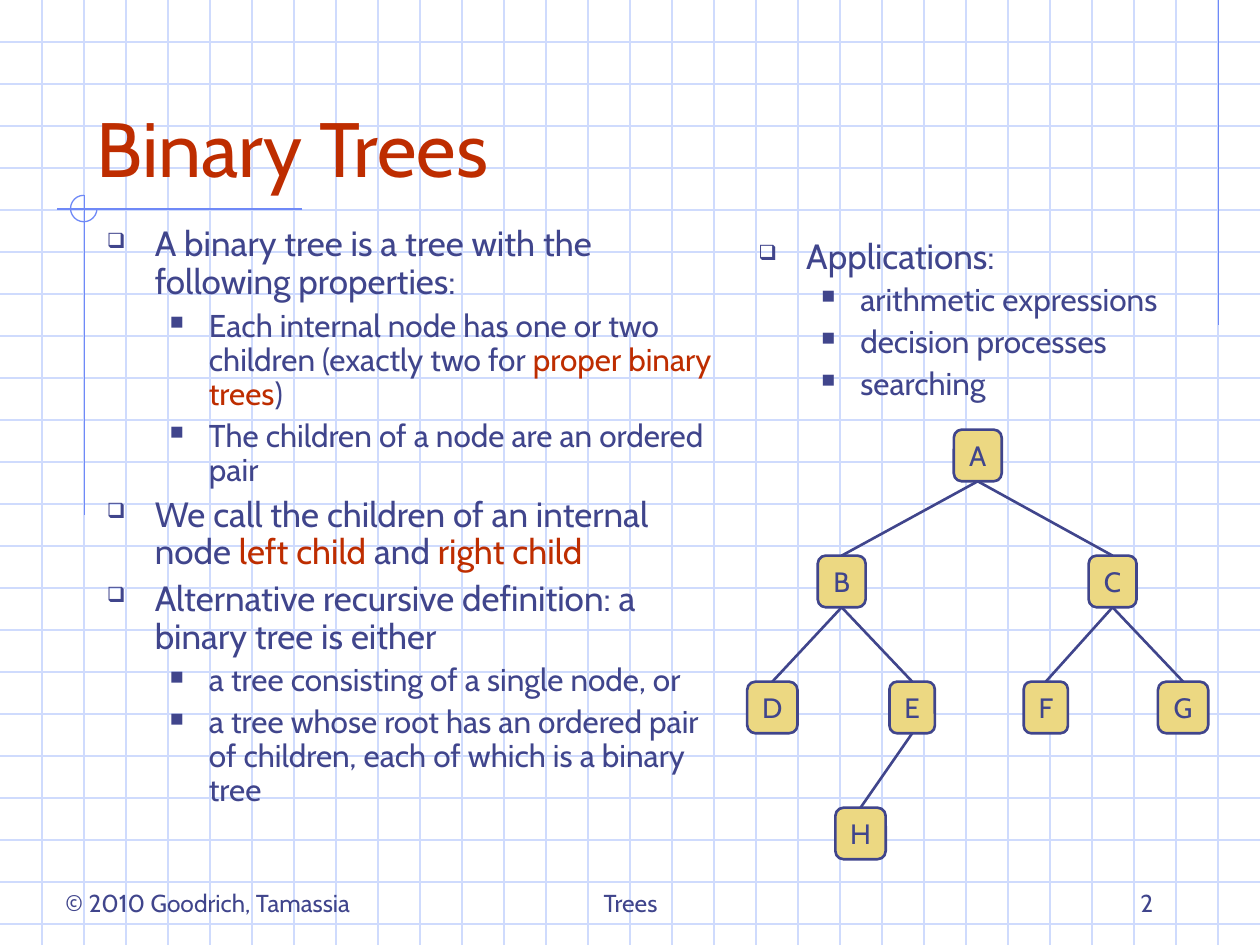
"""Build the Binary Trees slide: two bulleted texts and a tree diagram on a grid."""
from lxml import etree
from pptx import Presentation
from pptx.dml.color import RGBColor
from pptx.enum import shapes, text
from pptx.oxml import ns
from pptx.util import Inches, Pt

INK = RGBColor(0x40, 0x45, 0x8C)
ACCENT = RGBColor(0xBE, 0x2D, 0x00)
GRID = RGBColor(0xCF, 0xDB, 0xFD)
RULE = RGBColor(0x6F, 0x89, 0xF7)
NODE_FILL = RGBColor(0xEC, 0xD8, 0x82)
FONT = "Cabin"
WIDTH, HEIGHT = 10, 7.5
GRID_STEP = 1 / 3
TOP, BOTTOM = 0, 2
ROOT_TOP, NODE_HEIGHT = 3.41, 0.41

# Asterisks enclose accented words; the number is the outline level.
PROPERTIES = [
    (0, "A binary tree is a tree with the following properties:"),
    (1, "Each internal node has one or two children (exactly two for *proper binary trees*)"),
    (1, "The children of a node are an ordered pair"),
    (0, "We call the children of an internal node *left child* and *right child*"),
    (0, "Alternative recursive definition: a binary tree is either"),
    (1, "a tree consisting of a single node, or"),
    (1, "a tree whose root has an ordered pair of children, each of which is a binary tree"),
]
APPLICATIONS = [
    (0, "Applications:"),
    (1, "arithmetic expressions"),
    (1, "decision processes"),
    (1, "searching"),
]
OUTLINE = [
    {"glyph": "❑", "size": 20, "before": 5, "left": 0.38, "hang": 0.38},
    {"glyph": "■", "size": 18, "before": 4.5, "left": 0.81, "hang": 0.31},
]
FOOTERS = [
    ("© 2010 Goodrich, Tamassia", (0.42, 6.83, 2.75, 0.5), text.PP_ALIGN.LEFT),
    ("Trees", (3.42, 6.83, 3.17, 0.5), text.PP_ALIGN.CENTER),
    ("2", (7.17, 6.83, 2.08, 0.5), text.PP_ALIGN.RIGHT),
]
RULES = [
    ((9.67, 0), (9.67, 2.58)),
    ((2.4, 1.66), (0.45, 1.66)),
    ((0.67, 1.55), (0.67, 4.09)),
]
NODES = {
    "A": (0, 7.76, 0.38),
    "B": (1, 6.68, 0.38),
    "C": (1, 8.83, 0.38),
    "D": (2, 6.13, 0.4),
    "E": (2, 7.24, 0.36),
    "F": (2, 8.3, 0.35),
    "G": (2, 9.39, 0.4),
    "H": (3, 6.83, 0.4),
}
EDGES = ["AB", "AC", "CG", "CF", "BE", "BD", "EH"]


def write(paragraph, content, size, color=INK, align=text.PP_ALIGN.LEFT):
    paragraph.alignment = align
    for index, part in enumerate(content.split("*")):
        if part:
            run = paragraph.add_run()
            run.text = part
            run.font.name = FONT
            run.font.size = Pt(size)
            run.font.color.rgb = ACCENT if index % 2 else color


def add_box(slide, place, anchor=text.MSO_ANCHOR.TOP):
    frame = slide.shapes.add_textbox(*map(Inches, place)).text_frame
    frame.word_wrap = True
    frame.vertical_anchor = anchor
    return frame


def add_bullet(paragraph, glyph, left, hang):
    props = paragraph._p.get_or_add_pPr()
    props.set("marL", str(Inches(left)))
    props.set("indent", str(-Inches(hang)))
    color = etree.SubElement(props, ns.qn("a:buClr"))
    etree.SubElement(color, ns.qn("a:srgbClr"), val=str(INK))
    etree.SubElement(props, ns.qn("a:buSzPct"), val="60000")
    etree.SubElement(props, ns.qn("a:buChar"), char=glyph)


def add_outline(slide, place, items, head_spacing=0.9):
    frame = add_box(slide, place)
    for index, (level, content) in enumerate(items):
        style = OUTLINE[level]
        paragraph = frame.add_paragraph() if index else frame.paragraphs[0]
        add_bullet(paragraph, style["glyph"], style["left"], style["hang"])
        paragraph.level = level
        paragraph.line_spacing = 0.9 if level else head_spacing
        paragraph.space_before = Pt(style["before"] if index else 0)
        write(paragraph, content, style["size"])


def add_line(slide, start, end, color, width=0.75):
    line = slide.shapes.add_connector(
        shapes.MSO_CONNECTOR.STRAIGHT, *map(Inches, (*start, *end)))
    line.line.color.rgb = color
    line.line.width = Pt(width)
    etree.SubElement(line._element.spPr, ns.qn("a:effectLst"))
    return line


def add_backdrop(slide):
    for step in range(1, int(HEIGHT / GRID_STEP) + 1):
        add_line(slide, (0, step * GRID_STEP), (WIDTH, step * GRID_STEP), GRID)
    for step in range(1, round(WIDTH / GRID_STEP)):
        add_line(slide, (step * GRID_STEP, 0), (step * GRID_STEP, HEIGHT), GRID)
    for start, end in RULES:
        add_line(slide, start, end, RULE)
    arc = slide.shapes.add_shape(
        shapes.MSO_SHAPE.ARC, *map(Inches, (0.56, 1.55, 0.21, 0.21)))
    arc.adjustments[0] = 0
    arc.adjustments[1] = 162
    arc.shadow.inherit = False
    arc.fill.background()
    arc.line.color.rgb = RULE
    arc.line.width = Pt(0.75)


def add_node(slide, label, depth, center, width):
    node = slide.shapes.add_shape(
        shapes.MSO_SHAPE.ROUNDED_RECTANGLE,
        *map(Inches, (center - width / 2, ROOT_TOP + depth, width, NODE_HEIGHT)))
    node.shadow.inherit = False
    node.fill.solid()
    node.fill.fore_color.rgb = NODE_FILL
    node.line.color.rgb = INK
    node.line.width = Pt(1.5)
    frame = node.text_frame
    frame.word_wrap = False
    frame.vertical_anchor = text.MSO_ANCHOR.MIDDLE
    write(frame.paragraphs[0], label, 16, align=text.PP_ALIGN.CENTER)
    return node


def add_tree(slide):
    nodes = {label: add_node(slide, label, *place) for label, place in NODES.items()}
    for parent, child in EDGES:
        edge = add_line(slide, (0, 0), (0, 0), INK, 1.5)
        edge.begin_connect(nodes[parent], BOTTOM)
        edge.end_connect(nodes[child], TOP)


def main():
    deck = Presentation()
    deck.slide_width, deck.slide_height = Inches(WIDTH), Inches(HEIGHT)
    slide = deck.slides.add_slide(deck.slide_layouts[6])
    add_backdrop(slide)
    title = add_box(slide, (0.67, 0.33, 8.5, 1.25), text.MSO_ANCHOR.BOTTOM)
    write(title.paragraphs[0], "Binary Trees", 44, color=ACCENT)
    add_outline(slide, (0.75, 1.75, 5.08, 5.17), PROPERTIES)
    add_outline(slide, (5.92, 1.81, 3.58, 1.75), APPLICATIONS, head_spacing=1.0)
    add_tree(slide)
    for content, place, align in FOOTERS:
        footer = add_box(slide, place, text.MSO_ANCHOR.BOTTOM)
        write(footer.paragraphs[0], content, 14, align=align)
    deck.save("out.pptx")


if __name__ == "__main__":
    main()
